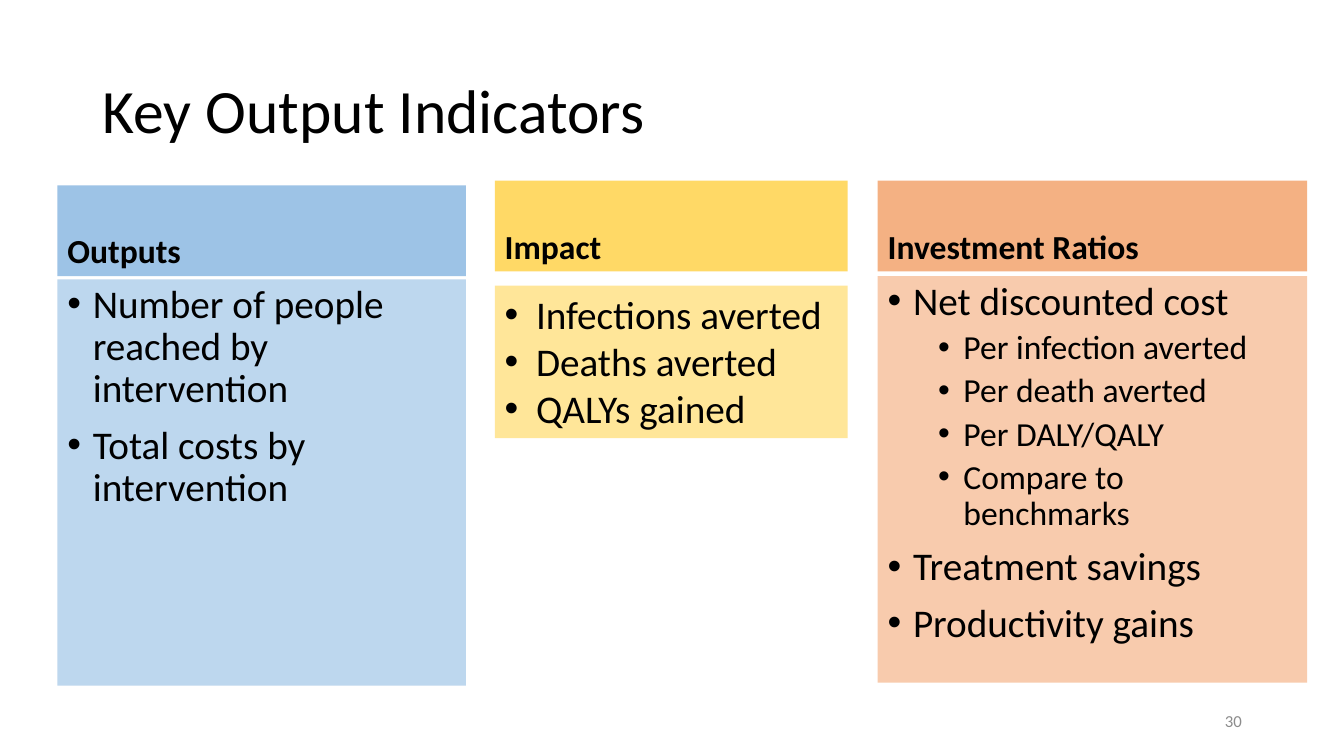
from lxml import etree
from pptx import Presentation
from pptx.dml.color import RGBColor
from pptx.enum.shapes import MSO_SHAPE
from pptx.enum.text import MSO_ANCHOR, PP_ALIGN
from pptx.oxml.ns import qn
from pptx.util import Cm, Pt

RECT = MSO_SHAPE.RECTANGLE
TOP, MIDDLE, BOTTOM = MSO_ANCHOR.TOP, MSO_ANCHOR.MIDDLE, MSO_ANCHOR.BOTTOM
LEFT, RIGHT = PP_ALIGN.LEFT, PP_ALIGN.RIGHT

COLORS = {
    "text": "000000", "number": "8C8C8C",
    "blue": "9DC3E6", "light blue": "BDD7EE",
    "yellow": "FFD966", "light yellow": "FFE699",
    "orange": "F4B183", "light orange": "F8CBAD",
}

# Paragraph styles: font values, paragraph values, bullet indent (left, hang) in cm
STYLES = {
    "title": ({"size": Pt(44)}, {"line_spacing": 0.9}, None),
    "header": ({"size": Pt(24), "bold": True}, {"line_spacing": 0.9}, None),
    "item": ({"size": Pt(28)}, {"line_spacing": 0.9, "space_before": Pt(10)}, (0.64, 0.64)),
    "subitem": ({"size": Pt(24)}, {"line_spacing": 0.9, "space_before": Pt(5)}, (1.91, 0.64)),
    "plain item": ({"size": Pt(28)}, {}, (0.79, 0.79)),
    "number": ({"size": Pt(12)}, {"alignment": RIGHT}, None),
}

TITLE = "Key Output Indicators"
SLIDE_NUMBER = "30"
HEADER_HEIGHT = 2.29

# Lengths in cm
COLUMNS = [
    {"header": "Outputs", "color": "blue", "left": 1.45, "width": 10.29,
     "top": 4.67, "gap": 0.08, "height": 10.24,
     "items": [("item", "Number of people reached by intervention"),
               ("item", "Total costs by intervention")]},
    {"header": "Impact", "color": "yellow", "left": 12.47, "width": 8.89,
     "top": 4.55, "gap": 0.36, "height": 3.84,
     "items": [("plain item", "Infections averted"),
               ("plain item", "Deaths averted"),
               ("plain item", "QALYs gained")]},
    {"header": "Investment Ratios", "color": "orange", "left": 22.12, "width": 10.82,
     "top": 4.55, "gap": 0.12, "height": 10.24,
     "items": [("item", "Net discounted cost"),
               ("subitem", "Per infection averted"),
               ("subitem", "Per death averted"),
               ("subitem", "Per DALY/QALY"),
               ("subitem", "Compare to benchmarks"),
               ("item", "Treatment savings"),
               ("item", "Productivity gains")]},
]


def add_bullet(p, left, hang):
    pPr = p._p.get_or_add_pPr()
    pPr.set("marL", str(Cm(left)))
    pPr.set("indent", str(-Cm(hang)))
    etree.SubElement(pPr, qn("a:buFont")).set("typeface", "Arial")
    etree.SubElement(pPr, qn("a:buChar")).set("char", "•")


def write(s, lines, anchor, color="text"):
    """Fill a shape with (style, text) lines."""
    tf = s.text_frame
    tf.word_wrap = True
    tf.vertical_anchor = anchor
    for i, (style, text) in enumerate(lines):
        font, layout, indent = STYLES[style]
        p = tf.paragraphs[0] if i == 0 else tf.add_paragraph()
        if indent:
            add_bullet(p, *indent)
        for name, value in ({"alignment": LEFT} | layout).items():
            setattr(p, name, value)
        if i == 0:
            p.space_before = Pt(0)
        r = p.add_run()
        r.text = text
        for name, value in ({"name": "Calibri"} | font).items():
            setattr(r.font, name, value)
        r.font.color.rgb = RGBColor.from_string(COLORS[color])


def add_text(slide, box, style, text, color="text"):
    s = slide.shapes.add_textbox(*map(Cm, box))
    write(s, [(style, text)], MIDDLE, color)


def add_panel(slide, box, fill, lines, anchor):
    s = slide.shapes.add_shape(RECT, *map(Cm, box))
    s.shadow.inherit = False
    s.fill.solid()
    s.fill.fore_color.rgb = RGBColor.from_string(COLORS[fill])
    s.line.fill.background()
    write(s, lines, anchor)


def add_column(slide, col):
    left, top, width = col["left"], col["top"], col["width"]
    add_panel(slide, (left, top, width, HEADER_HEIGHT), col["color"],
              [("header", col["header"])], BOTTOM)
    body_top = top + HEADER_HEIGHT + col["gap"]
    add_panel(slide, (left, body_top, width, col["height"]),
              "light " + col["color"], col["items"], TOP)


def main():
    prs = Presentation()
    prs.slide_width, prs.slide_height = Cm(33.87), Cm(19.05)
    slide = prs.slides.add_slide(prs.slide_layouts[6])
    add_text(slide, (2.34, 1.02, 29.21, 3.68), "title", TITLE)
    for col in COLUMNS:
        add_column(slide, col)
    add_text(slide, (23.93, 17.65, 7.62, 1.02), "number", SLIDE_NUMBER, "number")
    prs.save("out.pptx")


if __name__ == "__main__":
    main()
